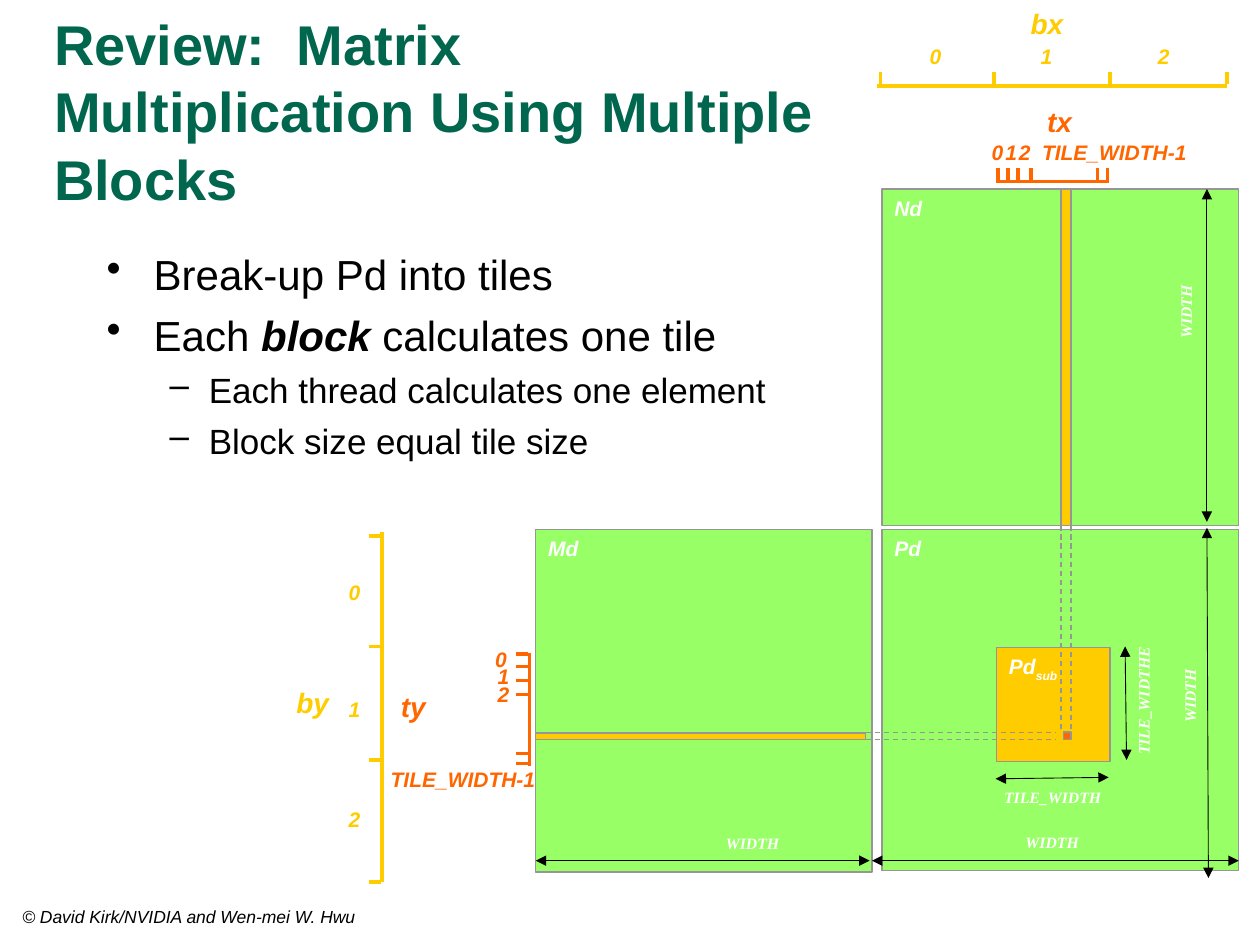
from dataclasses import dataclass

from lxml.etree import SubElement
from pptx import Presentation
from pptx.dml.color import RGBColor
from pptx.enum.dml import MSO_LINE
from pptx.enum.shapes import MSO_CONNECTOR, MSO_SHAPE
from pptx.enum.text import MSO_ANCHOR, PP_ALIGN
from pptx.oxml.ns import qn
from pptx.util import Cm, Pt


@dataclass(frozen=True)
class Theme:
    sans: str = "Arial"
    serif: str = "Times New Roman"
    green: str = "00664D"
    matrix: str = "99FF66"
    block: str = "FFCC00"
    thread: str = "FF6600"
    outline: str = "969696"
    black: str = "000000"
    white: str = "FFFFFF"
    title: int = 32
    bullets: tuple = (24, 20)
    axis: int = 16
    label: int = 12
    footer: int = 10
    measure: int = 9


class TilingSlide:
    def __init__(self, page, theme):
        self.page = page
        self.theme = theme

    def style(self, span, size, color, bold=False, italic=False, face=None):
        font = span.font
        font.name = face or self.theme.sans
        font.size = Pt(size)
        font.bold = bold
        font.italic = italic
        font.color.rgb = RGBColor.from_string(color)

    def rectangle(self, left, top, width, height, color, name="", subscript=""):
        shape = self.page.shapes.add_shape(
            MSO_SHAPE.RECTANGLE, Cm(left), Cm(top), Cm(width), Cm(height))
        shape.shadow.inherit = False
        shape.fill.solid()
        shape.fill.fore_color.rgb = RGBColor.from_string(color)
        shape.line.color.rgb = RGBColor.from_string(self.theme.outline)
        shape.line.width = Pt(0.75)
        if name:
            frame = shape.text_frame
            frame.vertical_anchor = MSO_ANCHOR.TOP
            para = frame.paragraphs[0]
            para.alignment = PP_ALIGN.LEFT
            for text in filter(None, (name, subscript)):
                span = para.add_run()
                span.text = text
                self.style(span, self.theme.label, self.theme.white, True, True)
            if subscript:
                span.font._element.set("baseline", "-25000")

    def line(self, x1, y1, x2, y2, color, weight, dashed=False, arrows=False):
        connector = self.page.shapes.add_connector(
            MSO_CONNECTOR.STRAIGHT, Cm(x1), Cm(y1), Cm(x2), Cm(y2))
        connector.line.color.rgb = RGBColor.from_string(color)
        connector.line.width = Pt(weight)
        if dashed:
            connector.line.dash_style = MSO_LINE.DASH
        properties = connector._element.spPr
        if arrows:
            outline = properties.find(qn("a:ln"))
            for end in ("a:headEnd", "a:tailEnd"):
                SubElement(outline, qn(end), type="triangle")
        SubElement(properties, qn("a:effectLst"))

    def dimension(self, x1, y1, x2, y2):
        self.line(x1, y1, x2, y2, self.theme.black, 0.5, arrows=True)

    def guide(self, x1, y1, x2, y2):
        self.line(x1, y1, x2, y2, self.theme.outline, 0.75, dashed=True)

    def horizontal_axis(self, start, end, y, ticks, color):
        self.line(start, y, end, y, color, 2)
        for x in ticks:
            self.line(x, y - 0.28, x, y - 0.03, color, 2)

    def vertical_axis(self, x, start, end, ticks, color):
        self.line(x, start, x, end, color, 2)
        for y in ticks:
            self.line(x - 0.27, y, x - 0.02, y, color, 2)

    def text_box(self, left, top, width, height, wrap=True):
        box = self.page.shapes.add_textbox(Cm(left), Cm(top), Cm(width), Cm(height))
        box.text_frame.word_wrap = wrap
        return box

    def label(self, text, left, top, width, color, size):
        box = self.text_box(left, top, width, 0.94 if size == self.theme.axis else 0.76, False)
        box.text_frame.text = text
        para = box.text_frame.paragraphs[0]
        para.alignment = PP_ALIGN.CENTER
        self.style(para.runs[0], size, color, True, True)

    def measure(self, text, left, top, width, rotation=0):
        box = self.text_box(left, top, width, 0.38, False)
        box.rotation = rotation
        frame = box.text_frame
        frame.margin_left = frame.margin_right = frame.margin_top = frame.margin_bottom = 0
        frame.text = text
        para = frame.paragraphs[0]
        para.alignment = PP_ALIGN.CENTER
        self.style(para.runs[0], self.theme.measure, self.theme.white, True, True, self.theme.serif)

    def plain_text(self, text, left, top, width, height, size, color, bold=False, italic=False):
        frame = self.text_box(left, top, width, height).text_frame
        frame.text = text
        frame.vertical_anchor = MSO_ANCHOR.MIDDLE
        self.style(frame.paragraphs[0].runs[0], size, color, bold, italic)

    def bullet_list(self, items, left, top, width, height):
        frame = self.text_box(left, top, width, height).text_frame
        markers = (("•", 0.95, -0.95), ("–", 2.06, -0.79))
        for index, (level, spans) in enumerate(items):
            para = frame.add_paragraph() if index else frame.paragraphs[0]
            para.level = level
            if index:
                para.space_before = Pt(6 - level)
            marker, margin, indent = markers[level]
            properties = para._p.get_or_add_pPr()
            properties.set("marL", str(Cm(margin)))
            properties.set("indent", str(Cm(indent)))
            SubElement(properties, qn("a:buChar"), char=marker)
            for text, strong in spans:
                span = para.add_run()
                span.text = text
                self.style(span, self.theme.bullets[level], self.theme.black, strong, strong)


def main():
    deck = Presentation()
    deck.slide_width, deck.slide_height = Cm(25.4), Cm(19.05)
    theme = Theme()
    slide = TilingSlide(deck.slides.add_slide(deck.slide_layouts[6]), theme)

    slide.rectangle(10.8, 10.67, 6.78, 6.91, theme.matrix, "Md")
    slide.rectangle(17.78, 3.81, 7.19, 6.78, theme.matrix, "Nd")
    slide.rectangle(17.78, 10.67, 7.19, 6.88, theme.matrix, "Pd")
    slide.rectangle(20.09, 13.06, 2.29, 2.29, theme.block, "Pd", "sub")

    for x in (21.39, 21.59):
        slide.guide(x, 10.41, x, 14.75)
    slide.rectangle(21.44, 14.76, 0.15, 0.15, theme.thread)
    for y in (14.76, 14.91):
        slide.guide(17.45, y, 21.29, y)
    slide.rectangle(10.8, 14.78, 6.65, 0.13, theme.block)
    slide.rectangle(21.39, 3.81, 0.2, 6.78, theme.block)

    for ends in (
        (24.33, 10.64, 24.36, 17.7),
        (24.97, 17.35, 17.58, 17.35),
        (22.68, 13.03, 22.71, 15.32),
        (20.07, 15.7, 22.35, 15.67),
        (10.8, 17.35, 17.53, 17.35),
        (24.33, 10.52, 24.33, 3.81),
    ):
        slide.dimension(*ends)

    slide.measure("TILE_WIDTH", 20.19, 15.88, 2.06)
    slide.measure("TILE_WIDTHE", 21.92, 13.94, 2.26, 270)
    for left, top, rotation in (
        (20.65, 16.79, 0), (14.61, 16.81, 0), (23.42, 13.84, 270), (23.34, 6.1, 270),
    ):
        slide.measure("WIDTH", left, top, 1.12, rotation)

    slide.horizontal_axis(17.68, 24.74, 1.73, (17.75, 20.04, 22.38, 24.74), theme.block)
    slide.horizontal_axis(20.07, 22.35, 3.66, (20.12, 20.32, 20.52, 20.78, 22.12, 22.33), theme.thread)
    slide.vertical_axis(7.7, 10.72, 17.78, (10.8, 13.03, 15.32, 17.78), theme.block)
    slide.vertical_axis(10.67, 13.16, 15.44, (13.18, 13.44, 13.72, 14, 15.19, 15.39), theme.thread)

    for name, left, top, width, color, places in (
        ("bx", 20.52, 0, 1.17, theme.block, ((18.49, 0.76), (20.73, 0.76), (23.09, 0.76))),
        ("tx", 20.85, 1.98, 1.02, theme.thread, ((19.74, 2.69), (20.02, 2.69), (20.29, 2.69))),
        ("by", 5.72, 13.69, 1.17, theme.block, ((6.78, 11.56), (6.78, 13.92), (6.78, 16.13))),
        ("ty", 7.82, 13.77, 1.02, theme.thread, ((9.73, 12.9), (9.78, 13.26), (9.78, 13.61))),
    ):
        slide.label(name, left, top, width, color, theme.axis)
        for number, (x, y) in enumerate(places):
            slide.label(str(number), x, y, 0.66, color, theme.label)
    for left, top in ((20.75, 2.69), (7.62, 15.32)):
        slide.label("TILE_WIDTH-1", left, top, 3.43, theme.thread, theme.label)

    slide.plain_text("Review:  Matrix Multiplication Using Multiple Blocks",
                     0.84, 0.64, 16.31, 3.18, theme.title, theme.green, bold=True)
    slide.bullet_list((
        (0, (("Break-up Pd into tiles", False),)),
        (0, (("Each ", False), ("block", True), (" calculates one tile", False))),
        (1, (("Each thread calculates one element", False),)),
        (1, (("Block size equal tile size", False),)),
    ), 1.9, 4.88, 14.6, 4.88)
    slide.plain_text("© David Kirk/NVIDIA and Wen-mei W. Hwu",
                     0.2, 18.14, 11.43, 0.66, theme.footer, theme.black, italic=True)

    deck.save("out.pptx")


if __name__ == "__main__":
    main()
